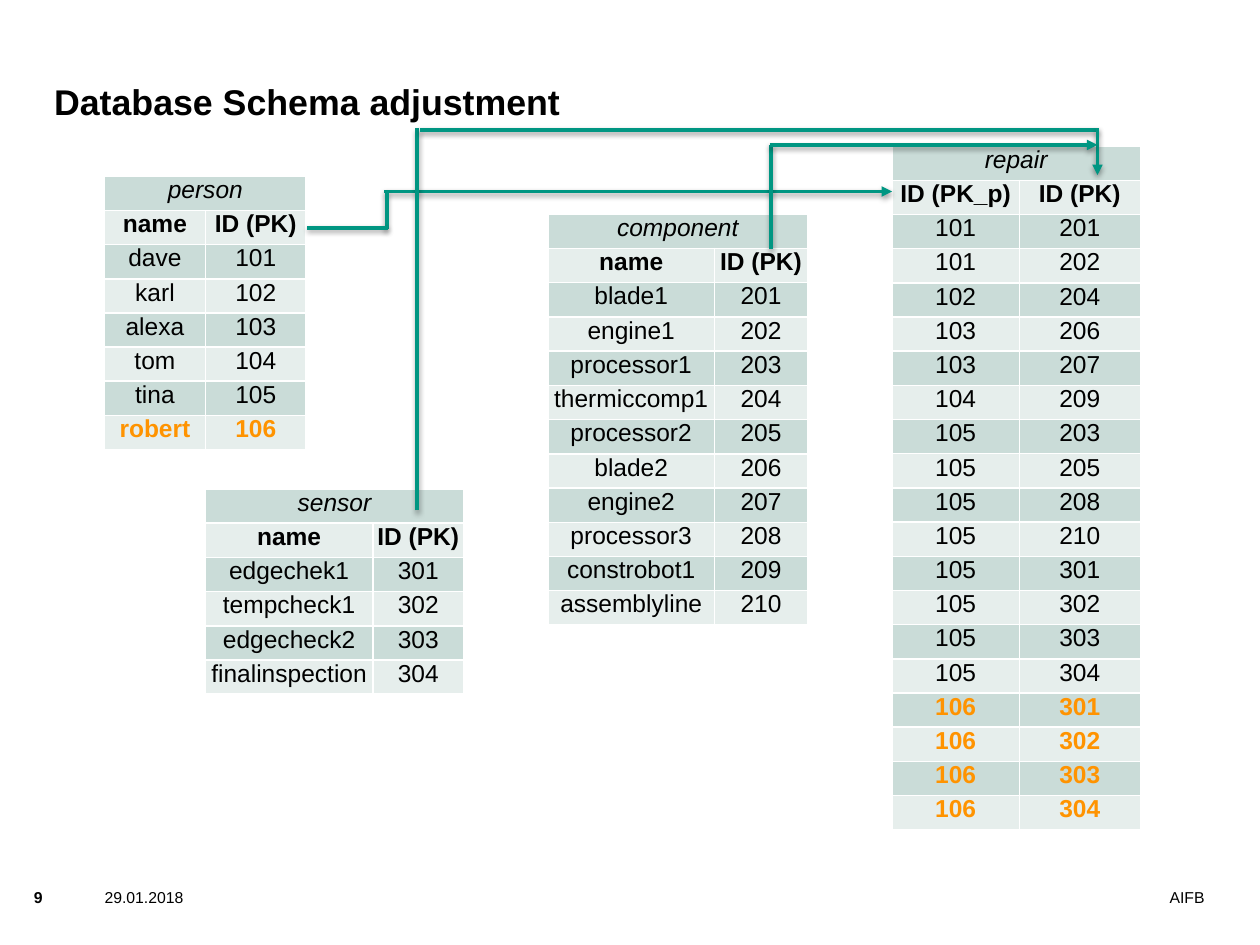
"""Build the database schema adjustment slide."""
from lxml import etree
from pptx import Presentation
from pptx.dml.color import RGBColor as RGB
from pptx.enum.shapes import MSO_CONNECTOR as CONN
from pptx.enum.text import MSO_ANCHOR as ANCHOR, PP_ALIGN as ALIGN
from pptx.oxml import parse_xml
from pptx.oxml.ns import nsdecls, qn
from pptx.util import Inches, Pt

COLORS = {"text": "000000", "highlight": "FF9300", "dark": "CADCD8",
          "light": "E6EEEC", "border": "FFFFFF", "arrow": "009682"}


def set_text(tf, text, size, align, color="text", bold=False, italic=False):
    tf.text = text
    p = tf.paragraphs[0]
    p.alignment = align
    font = p.runs[0].font
    font.name, font.size = "Arial", Pt(size)
    font.bold, font.italic = bold, italic
    font.color.rgb = RGB.from_string(COLORS[color])


prs = Presentation()
prs.slide_width, prs.slide_height = Inches(10), Inches(7.5)
s = prs.slides.add_slide(prs.slide_layouts[6])

labels = [
    ("AIFB", 6.57, 7.06, 2.99, 0.14, 9, ALIGN.RIGHT, False),
    ("29.01.2018", 0.83, 7.06, 0.89, 0.14, 9, ALIGN.LEFT, False),
    ("9", 0.27, 7.06, 0.14, 0.14, 9, ALIGN.LEFT, True),
    ("Database Schema adjustment", 0.43, 0.36, 4.2, 0.61, 20.4, ALIGN.LEFT, True),
]
for text, x, y, w, h, size, align, bold in labels:
    tf = s.shapes.add_textbox(Inches(x), Inches(y), Inches(w), Inches(h)).text_frame
    tf.word_wrap = True
    tf.margin_left = tf.margin_right = tf.margin_top = tf.margin_bottom = 0
    tf.vertical_anchor = ANCHOR.BOTTOM
    set_text(tf, text, size, align, bold=bold)

components = ["blade1", "engine1", "processor1", "thermiccomp1", "processor2",
              "blade2", "engine2", "processor3", "constrobot1", "assemblyline"]
people = ["dave", "karl", "alexa", "tom", "tina", "robert"]
sensors = ["edgechek1", "tempcheck1", "edgecheck2", "finalinspection"]
repairs = [(101, 201), (101, 202), (102, 204), (103, 206), (103, 207), (104, 209),
           (105, 203), (105, 205), (105, 208), (105, 210)]
repairs += [(person, sensor) for person in (105, 106) for sensor in range(301, 305)]

tables = [
    ("component", "name", 4.35, 1.7, 3.26, (1.32, 0.74), zip(components, range(201, 211))),
    ("person", "name", 0.83, 1.4, 2.17, (0.8, 0.8), zip(people, range(101, 107))),
    ("sensor", "name", 1.63, 3.88, 1.63, (1.33, 0.72), zip(sensors, range(301, 305))),
    ("repair", "ID (PK_p)", 7.08, 1.16, 5.43, (1.01, 0.96), repairs),
]
for title, key, x, y, h, widths, records in tables:
    rows = [(title, ""), (key, "ID (PK)"), *records]
    table = s.shapes.add_table(len(rows), 2, Inches(x), Inches(y),
                               Inches(sum(widths)), Inches(h)).table
    for column, width in zip(table.columns, widths):
        column.width = Inches(width)
    for i, row in enumerate(rows):
        table.rows[i].height = Inches(h / len(rows))
        added = 106 in row
        for j, value in enumerate(row):
            cell = table.cell(i, j)
            cell.margin_left = cell.margin_right = cell.margin_top = cell.margin_bottom = 0
            for side in ("lnL", "lnR", "lnT", "lnB"):
                ln = etree.SubElement(cell._tc.get_or_add_tcPr(), qn(f"a:{side}"), w=str(Pt(1)))
                fill = etree.SubElement(ln, qn("a:solidFill"))
                etree.SubElement(fill, qn("a:srgbClr"), val=COLORS["border"])
            cell.fill.solid()
            cell.fill.fore_color.rgb = RGB.from_string(COLORS["light" if i % 2 else "dark"])
            if value:
                set_text(cell.text_frame, str(value), 14, ALIGN.CENTER,
                         "highlight" if added else "text", added or i == 1, i == 0)
    table.cell(0, 0).merge(table.cell(0, 1))

lines = [
    (3.05, 1.52, 7.08, 1.52, True),
    (3.07, 1.82, 3.07, 1.52, False),
    (2.44, 1.81, 3.08, 1.81, False),
    (3.31, 4.05, 3.31, 1.02, False),
    (3.33, 1.03, 8.71, 1.03, False),
    (8.71, 1.02, 8.71, 1.39, True),
    (6.12, 1.98, 6.12, 1.15, False),
    (6.11, 1.15, 8.71, 1.15, True),
]
shadow = (f'<a:effectLst {nsdecls("a")}><a:outerShdw blurRad="{Pt(3)}" dist="{Pt(1.6)}" '
          'dir="5400000" rotWithShape="0"><a:srgbClr val="000000"><a:alpha val="38000"/>'
          '</a:srgbClr></a:outerShdw></a:effectLst>')
for x1, y1, x2, y2, arrow in lines:
    line = s.shapes.add_connector(CONN.STRAIGHT, Inches(x1), Inches(y1), Inches(x2), Inches(y2))
    line.line.color.rgb = RGB.from_string(COLORS["arrow"])
    line.line.width = Pt(2)
    if arrow:
        etree.SubElement(line.line._get_or_add_ln(), qn("a:tailEnd"), type="triangle")
    line._element.spPr.append(parse_xml(shadow))

prs.save("out.pptx")
